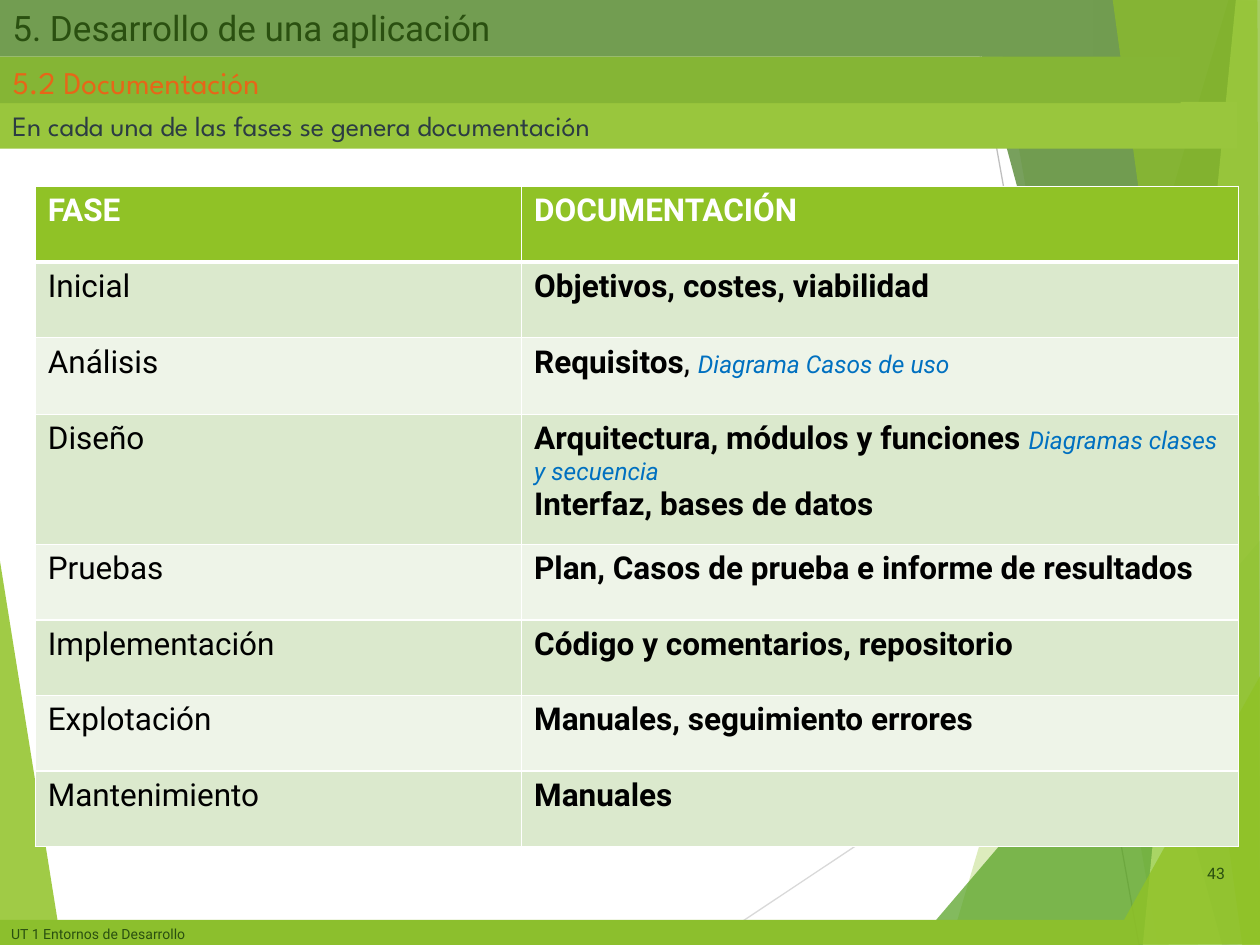
"""Builds the slide on the documentation made in each phase of an application."""
from lxml import etree
from pptx import Presentation
from pptx.dml.color import RGBColor
from pptx.enum import shapes, text
from pptx.oxml import ns
from pptx.util import Inches, Pt

WHITE = RGBColor(255, 255, 255)
BLACK = RGBColor(0, 0, 0)
LIME = RGBColor(0x90, 0xC2, 0x26)
GREEN = RGBColor(0x54, 0xA0, 0x21)
MOSS = RGBColor(0x3F, 0x78, 0x19)
PALE = RGBColor(0xC0, 0xE4, 0x74)
DARK = RGBColor(0x2A, 0x50, 0x10)
SLATE = RGBColor(0x2C, 0x3C, 0x43)
ORANGE = RGBColor(0xE7, 0x66, 0x18)
BLUE = RGBColor(0, 0x70, 0xC0)
BANDS = RGBColor(0xDB, 0xE9, 0xCD), RGBColor(0xEE, 0xF4, 0xE8)
SANS, GEO = "Roboto", "League Spartan"

LINES = [
    ((5.61, 7.5), (10.01, 4.57), RGBColor(0xD9, 0xD9, 0xD9)),
    ((7.7, 0), (9.04, 7.5), RGBColor(0xBF, 0xBF, 0xBF)),
]
WEDGE = [(-0.01, 4.39), (0.49, 7.51), (-0.01, 7.5)], LIME, 85
FACETS = [
    ([(9.75, 0), (7.54, 7.5), (10.02, 7.51), (10.01, 0.01)], LIME, 30),
    ([(7.88, -0.01), (9.19, 7.5), (10.01, 7.5), (10.01, -0.01)], LIME, 20),
    ([(7.26, 7.5), (10, 4.29), (10.01, 7.5)], GREEN, 72),
    ([(7.67, -0.01), (9.7, 7.5), (10.01, 7.49), (10.01, -0.01)], MOSS, 70),
    ([(9.81, -0.01), (9.07, 7.5), (10.01, 7.5), (10, -0.01)], PALE, 70),
    ([(8.83, -0.01), (9.86, 7.5), (10, 7.5), (9.98, -0.01)], LIME, 65),
    ([(8.81, 7.5), (10.01, 5.35), (10.01, 7.49)], LIME, 80),
]
BARS = [
    ((-0.01, 7.3, 8.98, 0.21), RGBColor(0x8C, 0xBF, 0x2D), SANS, 8, DARK,
     ["UT 1 Entornos de Desarrollo"]),
    ((0, 0.81, 9.82, 0.37), RGBColor(0x99, 0xC6, 0x3D), GEO, 16, SLATE,
     ["En cada una de las fases se genera documentación"]),
    ((0, 0, 8.68, 0.45), RGBColor(0x72, 0x9D, 0x51), SANS, 20, DARK,
     ["5. Desarrollo de una aplicación"]),
    ((0, 0.45, 9.37, 0.37), RGBColor(0x85, 0xB5, 0x35), GEO, 18, ORANGE,
     ["5.2", " Documentación"]),
]
HEAD = "FASE", "DOCUMENTACIÓN"
PHASES = [
    ("Inicial", [[("Objetivos, costes, viabilidad", "bold")]]),
    ("Análisis", [[("Requisitos", "bold"), (", ", "plain"),
                   ("Diagrama Casos de uso", "note")]]),
    ("Diseño", [[("Arquitectura, módulos y funciones ", "bold"),
                 ("Diagramas clases y secuencia", "note")],
                [("Interfaz, bases de datos", "bold")]]),
    ("Pruebas", [[("Plan, Casos de prueba e informe de resultados", "bold")]]),
    ("Implementación", [[("Código y comentarios, repositorio", "bold")]]),
    ("Explotación", [[("Manuales, seguimiento errores", "bold")]]),
    ("Mantenimiento", [[("Manuales", "bold")]]),
]
STYLES = {
    "head": (18, WHITE, True, False),
    "bold": (18, BLACK, True, False),
    "plain": (18, BLACK, False, False),
    "note": (14, BLUE, False, True),
}
COLS = 3.86, 5.69
ROW = 0.6
TALL = {2: 0.61, 3: 1.03}


def add_run(par, words, font, size, color, bold=False, italic=False):
    run = par.add_run()
    run.text = words
    face = run.font
    face.name, face.size, face.bold, face.italic = font, Pt(size), bold, italic
    face.color.rgb = color
    return run


def paint(shape, color):
    shape.shadow.inherit = False
    shape.fill.solid()
    shape.fill.fore_color.rgb = color
    shape.line.fill.background()


def add_facet(slide, points, color, alpha):
    dots = [(Inches(x), Inches(y)) for x, y in points]
    build = slide.shapes.build_freeform(*dots[0], scale=1)
    build.add_line_segments(dots[1:], close=True)
    shape = build.convert_to_shape()
    paint(shape, color)
    tint = shape._element.spPr.find(ns.qn("a:solidFill"))[0]
    etree.SubElement(tint, ns.qn("a:alpha"), val=str(alpha * 1000))


def add_line(slide, start, end, color):
    line = slide.shapes.add_connector(
        shapes.MSO_CONNECTOR.STRAIGHT, *map(Inches, start + end))
    line.line.color.rgb = color
    line.line.width = Pt(0.75)
    etree.SubElement(line._element.spPr, ns.qn("a:effectLst"))


def add_bar(slide, box, fill, font, size, color, parts):
    bar = slide.shapes.add_shape(
        shapes.MSO_SHAPE.RECTANGLE, *map(Inches, box))
    paint(bar, fill)
    frame = bar.text_frame
    frame.word_wrap = True
    frame.vertical_anchor = text.MSO_ANCHOR.TOP
    par = frame.paragraphs[0]
    par.alignment = text.PP_ALIGN.LEFT
    for part in parts:
        add_run(par, part, font, size, color)


def add_page(slide):
    box = slide.shapes.add_textbox(*map(Inches, (9.26, 6.73, 0.56, 0.4)))
    frame = box.text_frame
    frame.word_wrap = True
    frame.vertical_anchor = text.MSO_ANCHOR.MIDDLE
    par = frame.paragraphs[0]
    par.alignment = text.PP_ALIGN.RIGHT
    add_run(par, "43", SANS, 9, DARK)


def set_edge(props, spot, tag, width):
    edge = etree.Element(ns.qn(f"a:{tag}"), w=str(Pt(width)))
    fill = etree.SubElement(edge, ns.qn("a:solidFill"))
    etree.SubElement(fill, ns.qn("a:srgbClr"), val=str(WHITE))
    props.insert(spot, edge)


def fill_cell(cell, paras, color, base):
    cell.fill.solid()
    cell.fill.fore_color.rgb = color
    frame = cell.text_frame
    for i, runs in enumerate(paras):
        par = frame.add_paragraph() if i else frame.paragraphs[0]
        for words, style in runs:
            add_run(par, words, SANS, *STYLES[style])
    widths = {"lnL": 1, "lnR": 1, "lnT": 1, "lnB": base}
    for spot, (tag, width) in enumerate(widths.items()):
        set_edge(cell._tc.get_or_add_tcPr(), spot, tag, width)


def add_phases(slide):
    rows = [[[[(name, "head")]] for name in HEAD]]
    rows += [[[[(name, "plain")]], docs] for name, docs in PHASES]
    sizes = [TALL.get(i, ROW) for i in range(len(rows))]
    grid = slide.shapes.add_table(
        len(rows), len(COLS), Inches(0.28), Inches(1.48),
        Inches(sum(COLS)), Inches(sum(sizes))).table
    for col, width in zip(grid.columns, COLS):
        col.width = Inches(width)
    for i, row in enumerate(rows):
        grid.rows[i].height = Inches(sizes[i])
        color = BANDS[(i - 1) % 2] if i else LIME
        for j, paras in enumerate(row):
            fill_cell(grid.cell(i, j), paras, color, 1 if i else 3)


def main():
    deck = Presentation()
    deck.slide_width, deck.slide_height = Inches(10), Inches(7.5)
    slide = deck.slides.add_slide(deck.slide_layouts[6])
    add_facet(slide, *WEDGE)
    for line in LINES:
        add_line(slide, *line)
    for facet in FACETS:
        add_facet(slide, *facet)
    for bar in BARS:
        add_bar(slide, *bar)
    add_page(slide)
    add_phases(slide)
    deck.save("out.pptx")


if __name__ == "__main__":
    main()
